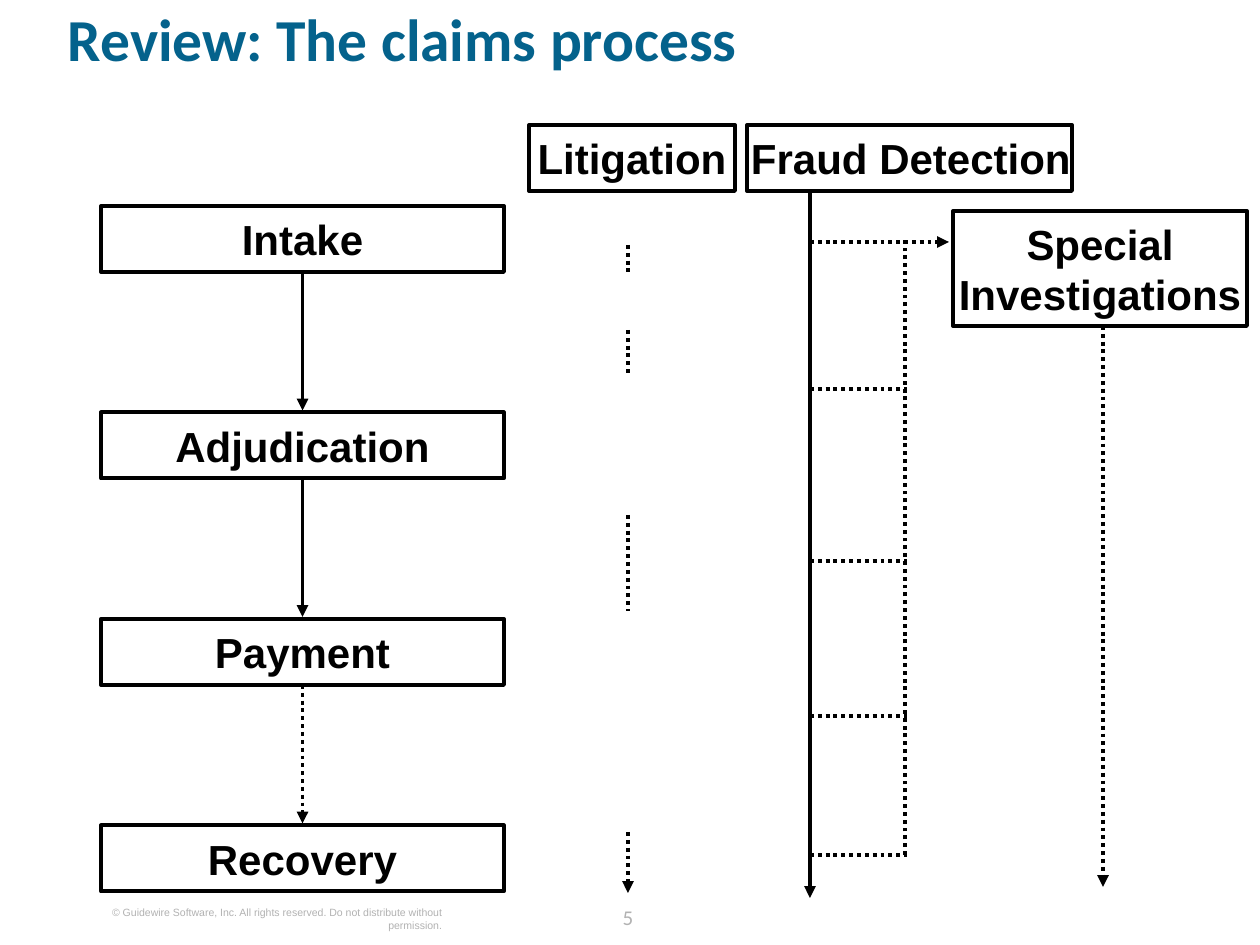
from pptx import Presentation
from pptx.dml.color import RGBColor
from pptx.enum.dml import MSO_LINE
from pptx.enum.shapes import MSO_CONNECTOR, MSO_SHAPE
from pptx.enum.text import MSO_ANCHOR, PP_ALIGN
from pptx.oxml.ns import qn
from pptx.util import Pt
from lxml import etree

RECT, STRAIGHT = MSO_SHAPE.RECTANGLE, MSO_CONNECTOR.STRAIGHT
DOTTED = MSO_LINE.ROUND_DOT  # written as sysDot
LEFT, CENTER, RIGHT = PP_ALIGN.LEFT, PP_ALIGN.CENTER, PP_ALIGN.RIGHT
TOP, MIDDLE = MSO_ANCHOR.TOP, MSO_ANCHOR.MIDDLE
EMU_PER_PX = 914400 / 126

THEME = {
    "title": {"font": "Calibri", "size": 34, "color": "04628C", "bold": True},
    "box": {"font": "Arial", "size": 24, "color": "000000", "bold": True},
    "copyright": {"font": "Arial", "size": 6, "color": "B2B2B2", "bold": False},
    "number": {"font": "Calibri", "size": 12, "color": "B2B2B2", "bold": False},
    "line": {"color": "000000", "width": 2.25},
}

# Content: texts are (text, style, (left, top, width, height), align, line spacing)
TEXTS = [
    ("Review: The claims process", "title", (68, 16, 1147, 102), LEFT, 0.8),
    ("© Guidewire Software, Inc. All rights reserved. Do not distribute without permission.",
     "copyright", (77, 906, 365, 26), RIGHT, 1.0),
    ("5", "number", (592, 898, 72, 32), CENTER, Pt(18)),
]

# Main steps, with the dotted state of the arrow that leaves each one
STEPS = [("Intake", False), ("Adjudication", False), ("Payment", True), ("Recovery", None)]
STEP_LEFT, STEP_TOP, STEP_WIDTH, STEP_PITCH = 101, 206, 403, 206.5
BOX_HEIGHT = 66

# Side activities: (text, (left, top, width, height), align)
ACTIVITIES = [
    ("Litigation", (529, 125, 206, BOX_HEIGHT), CENTER),
    ("Fraud Detection", (747, 125, 325, BOX_HEIGHT), LEFT),
    ("Special Investigations", (953, 211, 294, 115), CENTER),
]

# Litigation dashes (top, bottom); only the last one ends in an arrow
LITIGATION_X = 628
LITIGATION_DASHES = [(245, 272), (330, 375), (515, 611), (832, 893)]

# Fraud detection rungs, and the investigation line
FRAUD_X, COLLECTOR_X, RUNG_END = 810, 905, 907
REFERRAL_Y, REFERRAL_END = 242, 949
RUNGS = [389, 561, 716, 855]
INVESTIGATION_X = 1103


def px(value):
    return round(value * EMU_PER_PX)


def write(shape, text, style, align, anchor, spacing=1.0, inset=0):
    look = THEME[style]
    frame = shape.text_frame
    frame.text = text
    frame.word_wrap = True
    frame.vertical_anchor = anchor
    frame.margin_top = frame.margin_bottom = frame.margin_right = 0
    frame.margin_left = px(inset)
    paragraph = frame.paragraphs[0]
    paragraph.alignment = align
    paragraph.line_spacing = spacing
    font = paragraph.runs[0].font
    font.name, font.size, font.bold = look["font"], Pt(look["size"]), look["bold"]
    font.color.rgb = RGBColor.from_string(look["color"])


def style_line(line):
    line.color.rgb = RGBColor.from_string(THEME["line"]["color"])
    line.width = Pt(THEME["line"]["width"])


def add_box(slide, text, place, align=CENTER):
    box = slide.shapes.add_shape(RECT, *map(px, place))
    box.shadow.inherit = False
    box.fill.background()
    style_line(box.line)
    write(box, text, "box", align, MIDDLE, inset=4 if align == LEFT else 0)
    box.text_frame.word_wrap = align != LEFT


def add_line(slide, x1, y1, x2, y2, dotted=True, arrow=False):
    connector = slide.shapes.add_connector(STRAIGHT, px(x1), px(y1), px(x2), px(y2))
    style_line(connector.line)
    if dotted:
        connector.line.dash_style = DOTTED
    if arrow:
        etree.SubElement(connector.line._get_or_add_ln(), qn("a:tailEnd"), type="triangle")
    etree.SubElement(connector._element.spPr, qn("a:effectLst"))


def main():
    deck = Presentation()
    deck.slide_width, deck.slide_height = px(1260), px(945)
    slide = deck.slides.add_slide(deck.slide_layouts[6])

    # Title and footer
    for text, style, place, align, spacing in TEXTS:
        write(slide.shapes.add_textbox(*map(px, place)), text, style, align, TOP, spacing)

    # Main process
    step_x = STEP_LEFT + STEP_WIDTH / 2
    for index, (step, dotted) in enumerate(STEPS):
        top = STEP_TOP + index * STEP_PITCH
        add_box(slide, step, (STEP_LEFT, top, STEP_WIDTH, BOX_HEIGHT))
        if dotted is not None:
            add_line(slide, step_x, top + BOX_HEIGHT, step_x, top + STEP_PITCH - 2, dotted, True)

    # Side activities
    for text, place, align in ACTIVITIES:
        add_box(slide, text, place, align)

    # Litigation
    for top, bottom in LITIGATION_DASHES:
        add_line(slide, LITIGATION_X, top, LITIGATION_X, bottom,
                 arrow=bottom == LITIGATION_DASHES[-1][1])

    # Fraud detection and referral to investigations
    add_line(slide, FRAUD_X, 191, FRAUD_X, 898, dotted=False, arrow=True)
    add_line(slide, FRAUD_X, REFERRAL_Y, REFERRAL_END, REFERRAL_Y, arrow=True)
    for y in RUNGS:
        add_line(slide, FRAUD_X, y, RUNG_END, y)
    add_line(slide, COLLECTOR_X, RUNGS[-1], COLLECTOR_X, REFERRAL_Y - 2)
    add_line(slide, INVESTIGATION_X, 326, INVESTIGATION_X, 887, arrow=True)

    deck.save("out.pptx")


if __name__ == "__main__":
    main()
